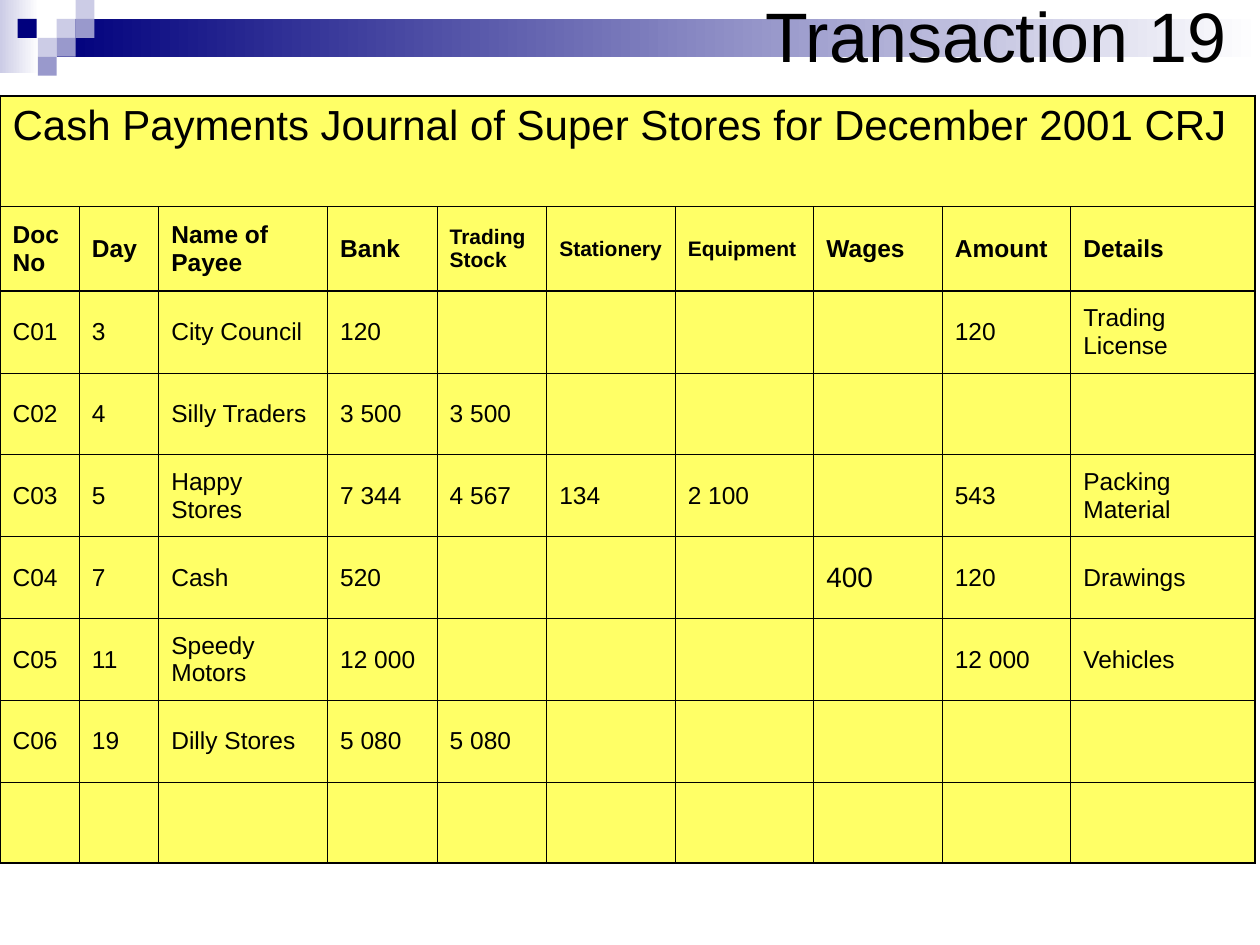
from lxml import etree
from pptx import Presentation
from pptx.dml.color import RGBColor
from pptx.enum import shapes, text
from pptx.oxml import ns
from pptx.util import Inches, Pt

FONT = "Arial"
BLACK = RGBColor(0x00, 0x00, 0x00)
WHITE = RGBColor(0xFF, 0xFF, 0xFF)
YELLOW = RGBColor(0xFF, 0xFF, 0x66)
NAVY = RGBColor(0x00, 0x00, 0x7D)
LAVENDER = RGBColor(0xCC, 0xCC, 0xE6)
PERIWINKLE = RGBColor(0x99, 0x99, 0xCC)

THIN, OUTER, HEAVY = 0.45, 1.08, 1.47
TILE = 0.15
TILES = [
    (0.45, 0.15, LAVENDER),
    (0.6, 0, LAVENDER),
    (0.6, 0.15, PERIWINKLE),
    (0.3, 0.3, LAVENDER),
    (0.14, 0.15, NAVY),
    (0.45, 0.3, PERIWINKLE),
    (0.3, 0.45, PERIWINKLE),
]

JOURNAL_TITLE = "Cash Payments Journal of Super Stores for December 2001 CRJ"
COL_WIDTHS = [0.63, 0.63, 1.34, 0.87, 0.87, 1.02, 1.1, 1.02, 1.02, 1.46]
ROW_HEIGHTS = [0.88, 0.67] + [0.65] * 6 + [0.64]
HEADERS = ["Doc No", "Day", "Name of Payee", "Bank", "Trading Stock",
           "Stationery", "Equipment", "Wages", "Amount", "Details"]
SMALL_HEADERS = {"Trading Stock", "Stationery", "Equipment"}
ENTRIES = [
    ["C01", "3", "City Council", "120", "", "", "", "", "120", "Trading License"],
    ["C02", "4", "Silly Traders", "3 500", "3 500", "", "", "", "", ""],
    ["C03", "5", "Happy Stores", "7 344", "4 567", "134", "2 100", "", "543",
     "Packing Material"],
    ["C04", "7", "Cash", "520", "", "", "", "400", "120", "Drawings"],
    ["C05", "11", "Speedy Motors", "12 000", "", "", "", "", "12 000", "Vehicles"],
    ["C06", "19", "Dilly Stores", "5 080", "5 080", "", "", "", "", ""],
    [""] * len(HEADERS),
]
WAGES_COL = HEADERS.index("Wages")


def set_font(p, size, bold=False):
    p.font.name = FONT
    p.font.size = Pt(size)
    p.font.bold = bold
    p.font.color.rgb = BLACK


def add_rect(s, x, y, w, h, color, fade=False):
    sp = s.shapes.add_shape(shapes.MSO_SHAPE.RECTANGLE,
                            Inches(x), Inches(y), Inches(w), Inches(h))
    sp.shadow.inherit = False
    sp.line.fill.background()
    if fade:
        sp.fill.gradient()
        sp.fill.gradient_angle = 180
        for stop, position, rgb in zip(sp.fill.gradient_stops, (0, 1), (WHITE, color)):
            stop.position = position
            stop.color.rgb = rgb
    else:
        sp.fill.solid()
        sp.fill.fore_color.rgb = color


def add_banner(s):
    add_rect(s, 0, 0, 0.31, 0.58, LAVENDER, fade=True)
    add_rect(s, 0.45, 0.15, 9.55, 0.3, NAVY, fade=True)
    for x, y, color in TILES:
        add_rect(s, x, y, TILE, TILE, color)


def add_title(s, title):
    sp = s.shapes.add_textbox(Inches(5.98), 0, Inches(4.02), Inches(0.55))
    tf = sp.text_frame
    tf.word_wrap = True
    tf.vertical_anchor = text.MSO_ANCHOR.MIDDLE
    p = tf.paragraphs[0]
    p.text = title
    set_font(p, 40)


def add_borders(cell, **widths):
    tc_pr = cell._tc.get_or_add_tcPr()
    for side, width in widths.items():
        ln = etree.SubElement(tc_pr, ns.qn("a:ln" + side), w=str(int(Pt(width))))
        fill = etree.SubElement(ln, ns.qn("a:solidFill"))
        etree.SubElement(fill, ns.qn("a:srgbClr"), val=str(BLACK))


def fill_cell(cell, words, size, bold=False, anchor=text.MSO_ANCHOR.MIDDLE):
    cell.fill.solid()
    cell.fill.fore_color.rgb = YELLOW
    cell.vertical_anchor = anchor
    p = cell.text_frame.paragraphs[0]
    if words:
        p.text = words
    set_font(p, size, bold)


def text_size(row, col, words):
    if row == 1:
        return 12 if words in SMALL_HEADERS else 14
    return 16 if col == WAGES_COL else 14


def add_journal(s):
    n_rows, n_cols = len(ROW_HEIGHTS), len(COL_WIDTHS)
    table = s.shapes.add_table(n_rows, n_cols, 0, Inches(0.76),
                               Inches(sum(COL_WIDTHS)), Inches(sum(ROW_HEIGHTS))).table
    table.first_row = table.horz_banding = False
    for column, width in zip(table.columns, COL_WIDTHS):
        column.width = Inches(width)
    for row, height in zip(table.rows, ROW_HEIGHTS):
        row.height = Inches(height)

    heading = table.cell(0, 0)
    heading.merge(table.cell(0, n_cols - 1))
    add_borders(heading, L=OUTER, R=OUTER, T=OUTER, B=THIN)
    fill_cell(heading, JOURNAL_TITLE, 24, anchor=text.MSO_ANCHOR.TOP)

    for r, values in enumerate([HEADERS] + ENTRIES, start=1):
        for c, words in enumerate(values):
            cell = table.cell(r, c)
            add_borders(cell,
                        L=OUTER if c == 0 else THIN,
                        R=OUTER if c == n_cols - 1 else THIN,
                        T=HEAVY if r == 2 else THIN,
                        B={1: HEAVY, n_rows - 1: OUTER}.get(r, THIN))
            fill_cell(cell, words, text_size(r, c, words), bold=r == 1)


def main():
    prs = Presentation()
    prs.slide_width, prs.slide_height = Inches(10), Inches(7.5)
    s = prs.slides.add_slide(prs.slide_layouts[6])
    add_banner(s)
    add_title(s, "Transaction 19")
    add_journal(s)
    prs.save("out.pptx")


if __name__ == "__main__":
    main()
